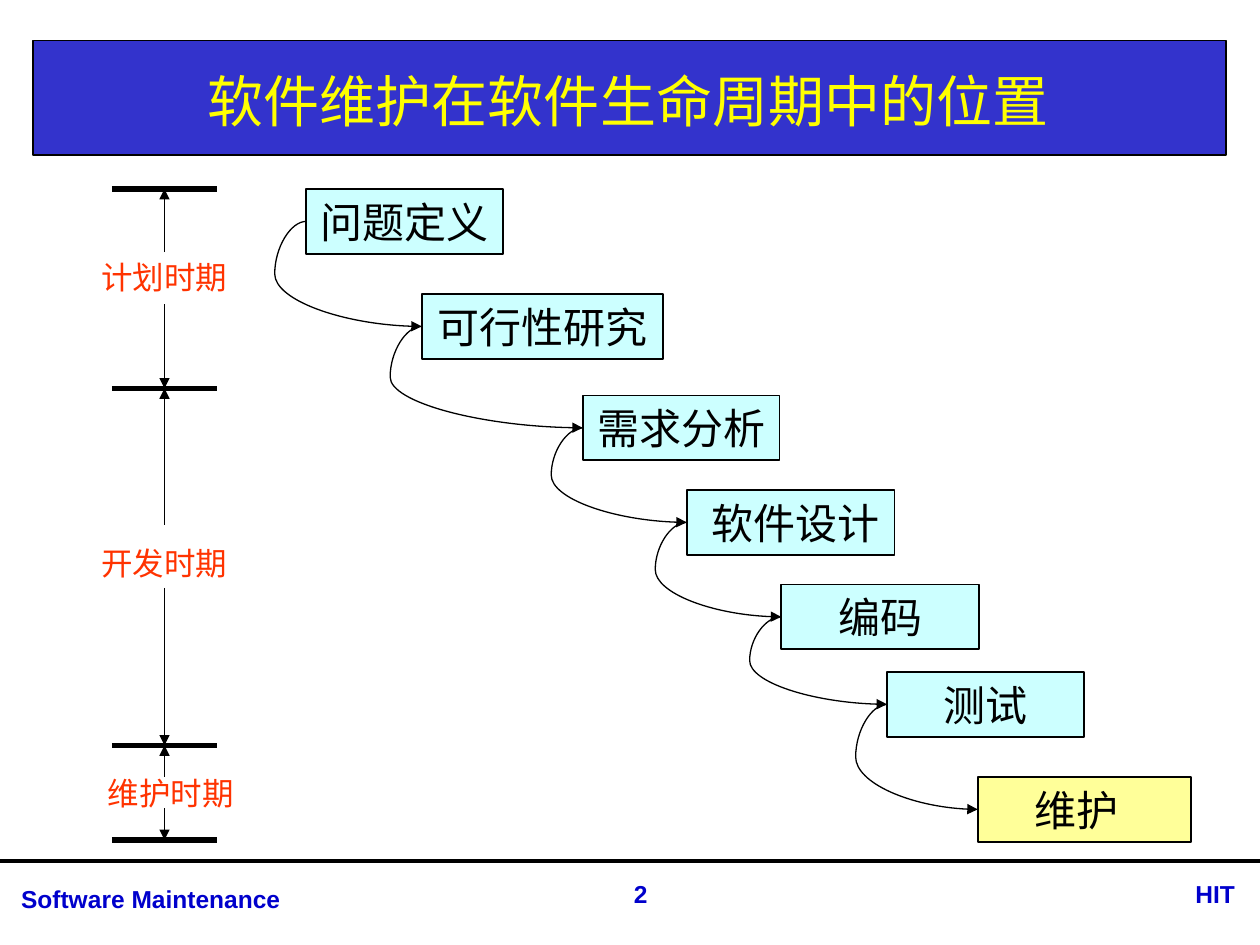
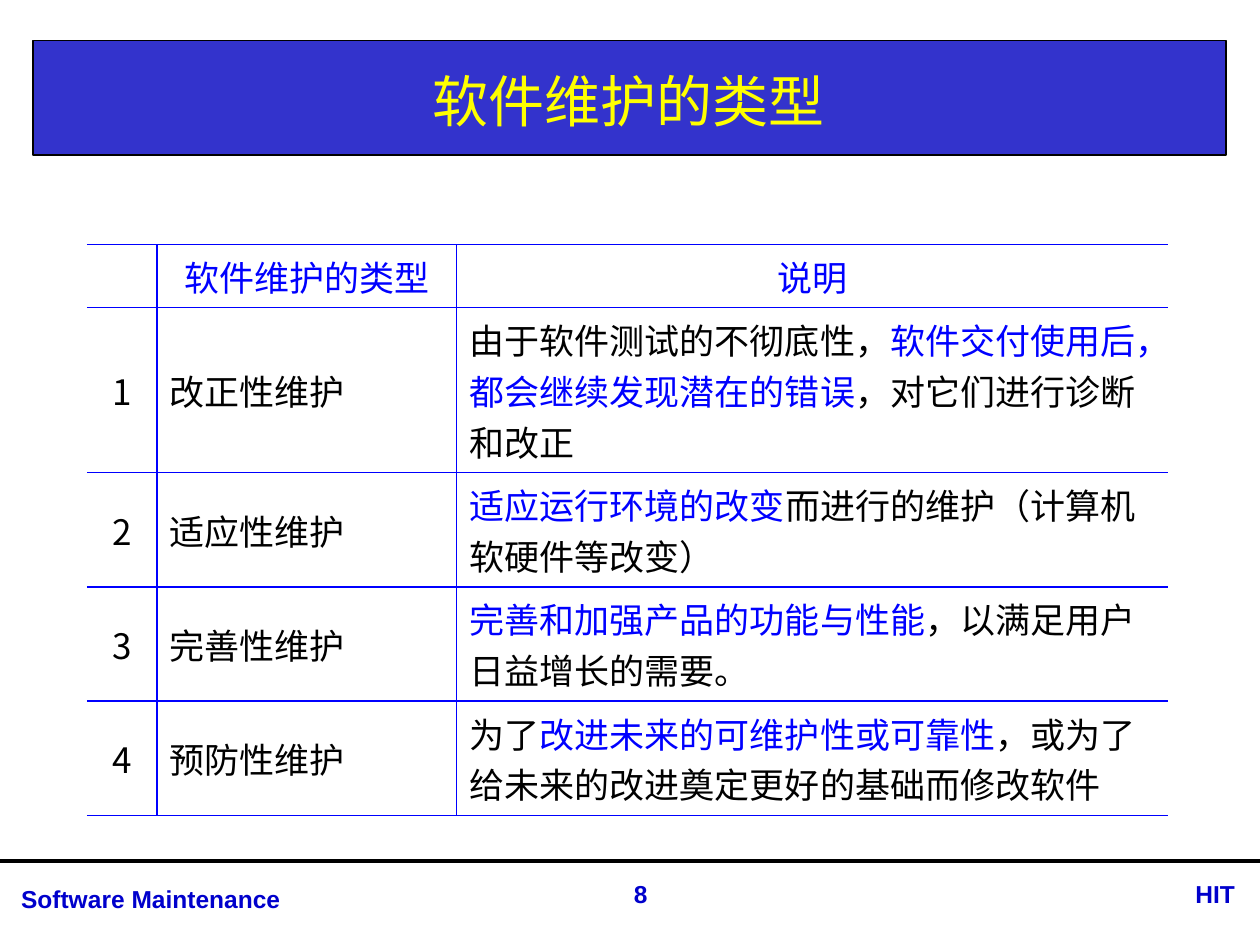
import pptx
import pptx.util
import pptx.dml.color
import pptx.enum.shapes
import pptx.enum.text
import pptx.oxml.ns
import lxml.etree

Pt = pptx.util.Pt
RGB = pptx.dml.color.RGBColor
SHAPE = pptx.enum.shapes.MSO_SHAPE
CONNECTOR = pptx.enum.shapes.MSO_CONNECTOR
TITLE = pptx.enum.shapes.PP_PLACEHOLDER.TITLE
ALIGN = pptx.enum.text.PP_ALIGN
ANCHOR = pptx.enum.text.MSO_ANCHOR
qn = pptx.oxml.ns.qn

BLACK = RGB(0, 0, 0)
BAND_BLUE = RGB(0x33, 0x33, 0xCC)
FOOTER_BLUE = RGB(0, 0, 0xCC)
TITLE_YELLOW = RGB(0xFF, 0xFF, 0)
STAGE_CYAN = RGB(0xCC, 0xFF, 0xFF)
FOCUS_YELLOW = RGB(0xFF, 0xFF, 0x99)
PERIOD_RED = RGB(0xFF, 0x33, 0)
TABLE_BLUE = RGB(0, 0, 0xFF)
CJK, LATIN = "Noto Sans CJK SC", "Arial"

# Content: footers are text, left, top, width, alignment
FOOTERS = [
    ("Software Maintenance", 5, 501.8, 277.2, ALIGN.LEFT),
    ("HIT", 638.6, 499, 74.2, ALIGN.RIGHT),
]

# Stages: text, left, top, width, extra left inset, extra right inset
LIFECYCLE_TITLE = "软件维护在软件生命周期中的位置"
STAGES = [
    ("问题定义", 175, 108, 112.5, 0, 0),
    ("可行性研究", 241, 168, 138, 0, 0),
    ("需求分析", 333, 226, 112.5, 0, 0),
    ("软件设计", 392.4, 280, 118.8, 5, 0),
    ("编码", 446.4, 334, 113, 0, 0),
    ("测试", 506.9, 384, 112.5, 0, 0),
    ("维护", 558.7, 444, 122, 0, 9),
]
STAGE_HEIGHT, CURVE_BULGE = 37, 18

# Periods: text, label left, label top, start, end, arrow gap from, to
PERIODS = [
    ("计划时期", 46, 144, 108, 222, 144, 174),
    ("开发时期", 46, 307.5, 222, 426, 300, 336),
    ("维护时期", 49.7, 439, 426, 480, 444, 462),
]
AXIS_X, TICK_HALF = 94, 30

# Table: explanations are (text, highlighted) pieces
TYPES_TITLE = "软件维护的类型"
HEADINGS = ["", "软件维护的类型", "说明"]
TYPES = [
    ("改正性维护", [("由于软件测试的不彻底性，", False),
                ("软件交付使用后，都会继续发现潜在的错误", True),
                ("，对它们进行诊断和改正", False)]),
    ("适应性维护", [("适应运行环境的改变", True),
                ("而进行的维护（计算机软硬件等改变）", False)]),
    ("完善性维护", [("完善和加强产品的功能与性能", True),
                ("，以满足用户日益增长的需要。", False)]),
    ("预防性维护", [("为了", False), ("改进未来的可维护性或可靠性", True),
                ("，或为了给未来的改进奠定更好的基础而修改软件", False)]),
]
COLUMN_WIDTHS = [40, 171.4, 406.6]
ROW_HEIGHTS = [36, 94.4, 65.2, 65.2, 65.2]


def format_run(r, size, color, font=CJK, bold=False):
    r.font.size, r.font.bold = Pt(size), bold
    r.font.color.rgb = color
    r.font.name = font
    latin = r.font._element.find(qn("a:latin")) if hasattr(r.font, "_element") \
        else r._r.rPr.find(qn("a:latin"))
    ea = lxml.etree.Element(qn("a:ea"), typeface=font)
    latin.addnext(ea)


def write(tf, text, size, color, align=ALIGN.CENTER, **style):
    tf.text = text
    p = tf.paragraphs[0]
    p.alignment = align
    for r in p.runs:
        format_run(r, size, color, **style)


def add_text(s, text, left, top, width, height, size, color, **style):
    sp = s.shapes.add_textbox(Pt(left), Pt(top), Pt(width), Pt(height))
    sp.text_frame.word_wrap = True
    write(sp.text_frame, text, size, color, **style)
    return sp


def add_footer(s, text, left, top, width, align):
    return add_text(s, text, left, top, width, 24.5, 14, FOOTER_BLUE,
                    align=align, font=LATIN, bold=True)


def add_box(s, left, top, width, height, fill, line_width):
    sp = s.shapes.add_shape(SHAPE.RECTANGLE, Pt(left), Pt(top), Pt(width), Pt(height))
    sp.shadow.inherit = False
    sp.fill.solid()
    sp.fill.fore_color.rgb = fill
    sp.line.color.rgb = BLACK
    sp.line.width = Pt(line_width)
    return sp


def add_line(s, x1, y1, x2, y2, width=0.75, arrow=False, kind=CONNECTOR.STRAIGHT):
    line = s.shapes.add_connector(kind, Pt(x1), Pt(y1), Pt(x2), Pt(y2))
    line.line.color.rgb = BLACK
    line.line.width = Pt(width)
    props = line.element.spPr
    if arrow:
        lxml.etree.SubElement(props.find(qn("a:ln")), qn("a:tailEnd"), type="triangle")
    lxml.etree.SubElement(props, qn("a:effectLst"))
    return line


def join_stages(s, a, b):
    line = add_line(s, 0, 0, 10, 10, arrow=True, kind=CONNECTOR.CURVE)
    line.begin_connect(a, 1)
    line.end_connect(b, 1)
    geom = line.element.spPr.find(qn("a:prstGeom"))
    guides = geom.find(qn("a:avLst"))
    if guides is None:
        guides = lxml.etree.SubElement(geom, qn("a:avLst"))
    bulge = round(-100000 * Pt(CURVE_BULGE) / (b.left - a.left))
    lxml.etree.SubElement(guides, qn("a:gd"), name="adj1", fmla=f"val {bulge}")


def set_borders(cell, sides):
    """Draw the named sides (of L, R, T, B) in blue and leave the others bare."""
    props = cell._tc.get_or_add_tcPr()
    for i, side in enumerate("LRTB"):
        ln = lxml.etree.Element(qn(f"a:ln{side}"), w=str(Pt(0.75)))
        if side in sides:
            fill = lxml.etree.SubElement(ln, qn("a:solidFill"))
            lxml.etree.SubElement(fill, qn("a:srgbClr"), val=str(TABLE_BLUE))
        else:
            lxml.etree.SubElement(ln, qn("a:noFill"))
        props.insert(i, ln)


def share_on_layout(layout, s):
    """Put the band, the rule and the fixed footers on the layout."""
    for ph in list(layout.placeholders):
        if ph.placeholder_format.type != TITLE:
            ph.element.getparent().remove(ph.element)
    shared = [add_box(s, 18.9, 23.2, 681.8, 65.4, BAND_BLUE, 0.75),
              add_line(s, 0, 492, 720, 492, 2.25)]
    shared += [add_footer(s, *footer) for footer in FOOTERS]
    for sp in shared:
        layout.shapes.element.append(sp.element)


def start_slide(s, title, number):
    sp = s.shapes.title
    sp.left, sp.top, sp.width, sp.height = Pt(18.9), Pt(26), Pt(680.4), Pt(62.6)
    sp.text_frame.vertical_anchor = ANCHOR.MIDDLE
    write(sp.text_frame, title, 32, TITLE_YELLOW)
    add_footer(s, number, 329, 499, 74.2, ALIGN.CENTER)


def build_lifecycle(s):
    start_slide(s, LIFECYCLE_TITLE, "2")

    # Staircase of stages
    boxes = []
    for text, left, top, width, inset_left, inset_right in STAGES:
        fill = FOCUS_YELLOW if text == STAGES[-1][0] else STAGE_CYAN
        sp = add_box(s, left, top, width, STAGE_HEIGHT, fill, 1)
        tf = sp.text_frame
        tf.word_wrap = True
        tf.vertical_anchor = ANCHOR.MIDDLE
        tf.margin_left, tf.margin_right = Pt(7.2 + inset_left), Pt(7.2 + inset_right)
        write(tf, text, 24, BLACK)
        boxes.append(sp)
    for a, b in zip(boxes, boxes[1:]):
        join_stages(s, a, b)

    # Time axis
    for text, left, top, start, end, gap_from, gap_to in PERIODS:
        add_text(s, text, left, top, 95.8, 28.8, 18, PERIOD_RED)
        add_line(s, AXIS_X, gap_from, AXIS_X, start, arrow=True)
        add_line(s, AXIS_X, gap_to, AXIS_X, end, arrow=True)
    for y in [PERIODS[0][3]] + [period[4] for period in PERIODS]:
        add_line(s, AXIS_X - TICK_HALF, y, AXIS_X + TICK_HALF, y, 3)


def build_types(s):
    start_slide(s, TYPES_TITLE, "8")
    table = s.shapes.add_table(len(ROW_HEIGHTS), len(COLUMN_WIDTHS), Pt(49.7), Pt(139.8),
                               Pt(sum(COLUMN_WIDTHS)), Pt(sum(ROW_HEIGHTS))).table
    table.first_row = table.horz_banding = False
    for column, width in zip(table.columns, COLUMN_WIDTHS):
        column.width = Pt(width)
    for row, height in zip(table.rows, ROW_HEIGHTS):
        row.height = Pt(height)
        for cell, sides in zip(row.cells, ("RTB", "LRTB", "LTB")):
            set_borders(cell, sides)
            cell.fill.background()
            cell.vertical_anchor = ANCHOR.MIDDLE

    # Heading row
    for i, heading in enumerate(HEADINGS):
        write(table.cell(0, i).text_frame, heading, 20, TABLE_BLUE)

    # One row for each type
    for i, (name, pieces) in enumerate(TYPES, 1):
        write(table.cell(i, 0).text_frame, str(i), 20, BLACK)
        write(table.cell(i, 1).text_frame, name, 20, BLACK, ALIGN.LEFT)
        cell = table.cell(i, 2)
        cell.vertical_anchor = ANCHOR.TOP
        for text, highlighted in pieces:
            r = cell.text_frame.paragraphs[0].add_run()
            r.text = text
            format_run(r, 20, TABLE_BLUE if highlighted else BLACK)


def main():
    prs = pptx.Presentation()
    prs.slide_width, prs.slide_height = Pt(720), Pt(540)
    layout = prs.slide_layouts[5]
    slides = [prs.slides.add_slide(layout) for _ in range(2)]
    share_on_layout(layout, slides[0])
    build_lifecycle(slides[0])
    build_types(slides[1])
    prs.save("out.pptx")


if __name__ == "__main__":
    main()
